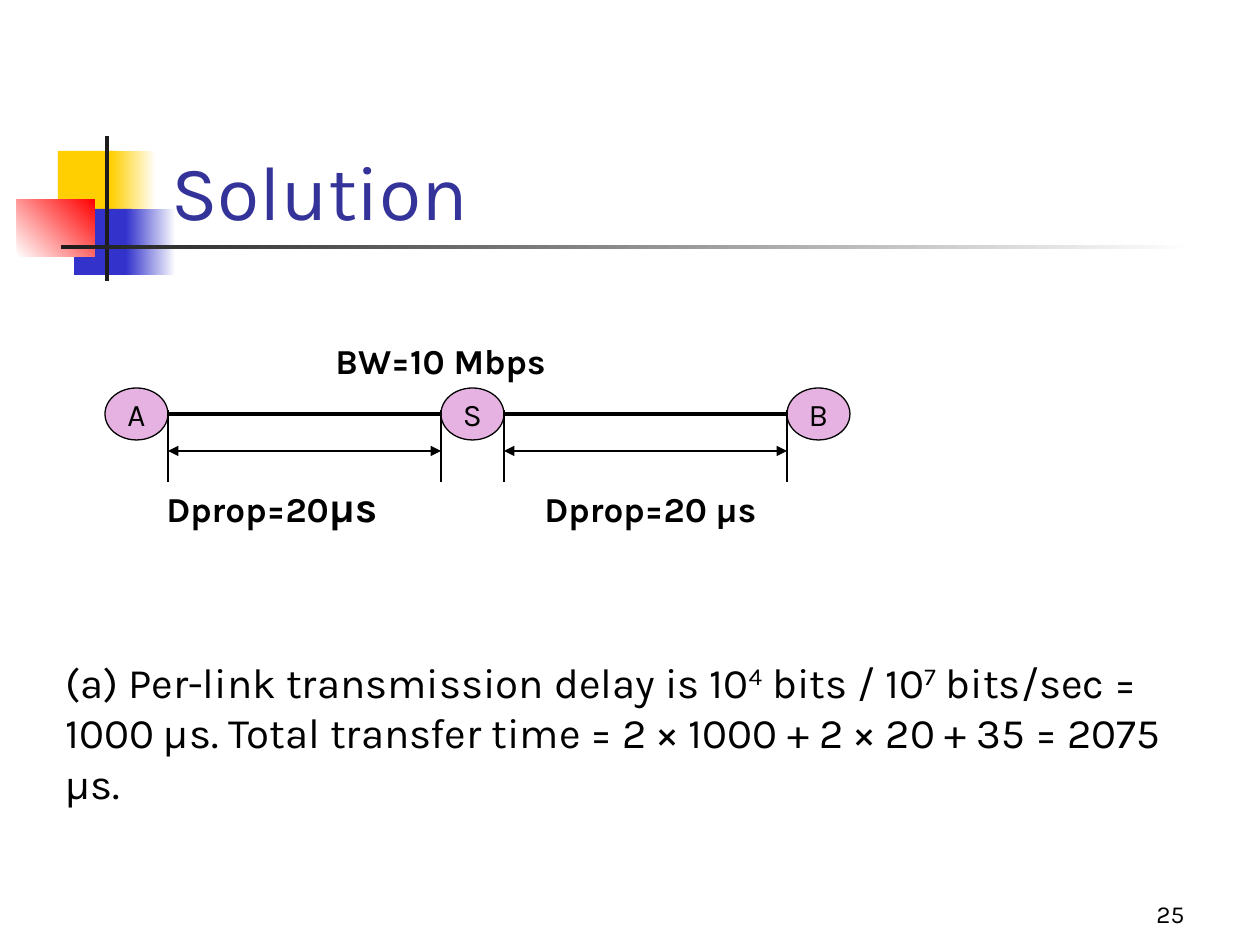
from lxml import etree
from pptx import Presentation
from pptx import util as u
from pptx.dml.color import RGBColor
from pptx.enum import shapes, text
from pptx.oxml.ns import qn

PX = 914400 / 126
HUE = {"gold": "FFCF01", "blue": "3333CC", "red": "FF0000", "white": "FFFFFF",
       "dark": "1C1C1C", "title": "333399", "pink": "E6B2E1", "ink": "000000"}
SHAPE, ANCHOR, ALIGN = shapes.MSO_SHAPE, text.MSO_ANCHOR, text.PP_ALIGN

deck = Presentation()
deck.slide_width, deck.slide_height = u.Inches(10), u.Inches(7.5)
slide = deck.slides.add_slide(deck.slide_layouts[6])


def write(shape, runs, size, hue="ink", bold=False, wrap=False,
          anchor=ANCHOR.TOP, align=ALIGN.LEFT):
    """Fill one paragraph with (words, size, baseline) runs."""
    frame = shape.text_frame
    frame.word_wrap, frame.vertical_anchor = wrap, anchor
    para = frame.paragraphs[0]
    para.alignment = align
    font = para.font
    font.name, font.size, font.bold = "Karla", u.Pt(size), bold
    font.color.rgb = RGBColor.from_string(HUE[hue])
    for words, own, base in runs:
        run = para.add_run()
        run.text = words
        if own:
            run.font.size = u.Pt(own)
        if base:
            run._r.get_or_add_rPr().set("baseline", str(base))


def draw(ends, width, arrows=False):
    """Draw a black line, with arrowheads at both ends if asked."""
    line = slide.shapes.add_connector(
        shapes.MSO_CONNECTOR.STRAIGHT, *[round(v * PX) for v in ends])
    line.line.width = u.Pt(width)
    line.line.color.rgb = RGBColor.from_string(HUE["ink"])
    if arrows:
        for end in ("a:headEnd", "a:tailEnd"):
            etree.SubElement(line.line._get_or_add_ln(), qn(end), type="triangle")
    etree.SubElement(line._element.spPr, qn("a:effectLst"))


# Corner ornament: box, first colour, second colour if shaded, angle
for box, first, last, angle in [
        ((58, 151, 60, 66), "gold", None, 0),
        ((111, 151, 45, 66), "gold", "white", 0),
        ((74, 209, 58, 66), "blue", None, 0),
        ((126, 209, 50, 66), "blue", "white", 0),
        ((17, 199, 78, 58), "white", "red", 45),
        ((105, 136, 4, 145), "dark", None, 0),
        ((61, 245, 1134, 4), "dark", "white", 0)]:
    rect = slide.shapes.add_shape(SHAPE.RECTANGLE, *[round(v * PX) for v in box])
    rect.shadow.inherit = False
    rect.line.fill.background()
    if last:
        rect.fill.gradient()
        rect.fill.gradient_angle = angle
        for stop, hue in zip(rect.fill.gradient_stops, (first, last)):
            stop.color.rgb = RGBColor.from_string(HUE[hue])
    else:
        rect.fill.solid()
        rect.fill.fore_color.rgb = RGBColor.from_string(HUE[first])

# Network nodes
for name, left in (("A", 105), ("S", 441), ("B", 787)):
    node = slide.shapes.add_shape(
        SHAPE.OVAL, *[round(v * PX) for v in (left, 388, 63, 52)])
    node.shadow.inherit = False
    node.fill.solid()
    node.fill.fore_color.rgb = RGBColor.from_string(HUE["pink"])
    node.line.color.rgb = RGBColor.from_string(HUE["ink"])
    node.line.width = u.Pt(0.75)
    write(node, [(name, None, 0)], 18, anchor=ANCHOR.MIDDLE, align=ALIGN.CENTER)

# Links with their dimension marks
for start, stop in ((168, 441), (504, 787)):
    draw((start, 414, stop, 414), 2)
    draw((start, 451, stop, 451), 0.75, arrows=True)
    for x in (start, stop):
        draw((x, 410, x, 482), 0.75)

# Texts: box, runs, style
answer = [("(a) Per-link transmission delay is 10", None, 0), ("4", None, 30000),
          (" bits / 10", None, 0), ("7", None, 30000),
          (" bits/sec = 1000 µs. Total transfer time = "
           "2 × 1000 + 2 × 20 + 35 = 2075 µs.", None, 0)]
label = dict(size=20, bold=True)
for box, runs, style in [
        ((159, 84, 1073, 158), [("Solution", None, 0)],
         dict(size=44, hue="title", wrap=True, anchor=ANCHOR.BOTTOM)),
        ((154, 474, 242, 63), [("Dprop=20", None, 0), ("µs", 24, 0)], label),
        ((532, 481, 243, 55), [("Dprop=20 µs", None, 0)], label),
        ((323, 333, 247, 55), [("BW=10 Mbps", None, 0)], label),
        ((53, 650, 1134, 164), answer,
         dict(size=24, wrap=True, anchor=ANCHOR.MIDDLE)),
        ((935, 872, 262, 63), [("25", None, 0)],
         dict(size=14, wrap=True, anchor=ANCHOR.BOTTOM, align=ALIGN.RIGHT))]:
    write(slide.shapes.add_textbox(*[round(v * PX) for v in box]), runs, **style)

deck.save("out.pptx")
